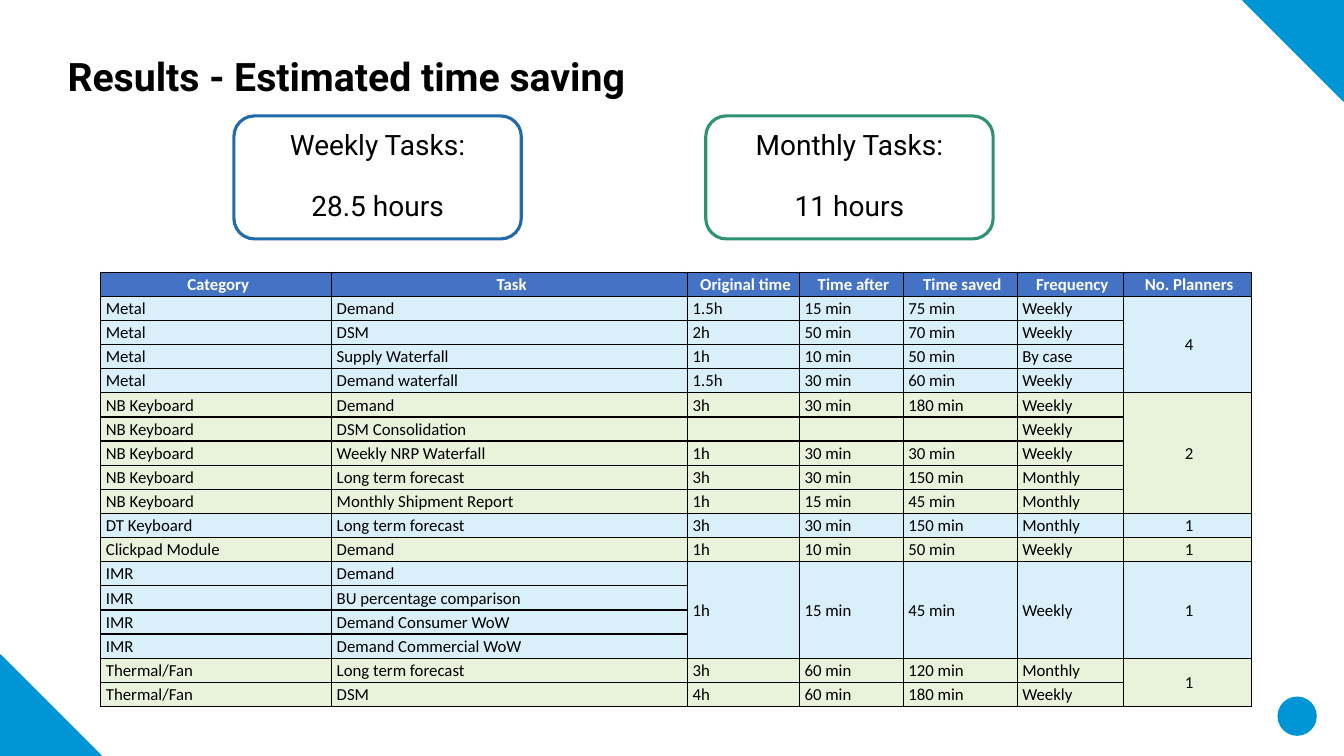
from lxml import etree
from pptx import Presentation
from pptx.dml.color import RGBColor
from pptx.enum.shapes import MSO_SHAPE
from pptx.enum.text import MSO_ANCHOR, PP_ALIGN
from pptx.oxml.ns import qn
from pptx.util import Inches, Pt

ROUND = MSO_SHAPE.ROUNDED_RECTANGLE
CORNER = MSO_SHAPE.RIGHT_TRIANGLE
OVAL = MSO_SHAPE.OVAL
MIDDLE, BOTTOM = MSO_ANCHOR.MIDDLE, MSO_ANCHOR.BOTTOM
LEFT, CENTER = PP_ALIGN.LEFT, PP_ALIGN.CENTER

BLACK = RGBColor(0, 0, 0)
WHITE = RGBColor(255, 255, 255)
BRIGHT = RGBColor(0x00, 0x96, 0xD6)
HEAD = RGBColor(0x44, 0x72, 0xC4)
SKY = RGBColor(0xD9, 0xEF, 0xF9)
LIME = RGBColor(0xE9, 0xF2, 0xDA)
BLUE = RGBColor(0x22, 0x6B, 0xAB)
GREEN = RGBColor(0x2E, 0x92, 0x73)

WIDE, HIGH = 13.33, 7.5
WIDTHS = [2.29, 3.53, 1.11, 1.03, 1.13, 1.05, 1.27]
LABELS = ["Category", "Task", "Original time", "Time after",
          "Time saved", "Frequency", "No. Planners"]
GROUPS = [
    ("Metal", "4", [
        ("Demand", "1.5h", "15 min", "75 min", "Weekly"),
        ("DSM", "2h", "50 min", "70 min", "Weekly"),
        ("Supply Waterfall", "1h", "10 min", "50 min", "By case"),
        ("Demand waterfall", "1.5h", "30 min", "60 min", "Weekly")]),
    ("NB Keyboard", "2", [
        ("Demand", "3h", "30 min", "180 min", "Weekly"),
        ("DSM Consolidation", "", "", "", "Weekly"),
        ("Weekly NRP Waterfall", "1h", "30 min", "30 min", "Weekly"),
        ("Long term forecast", "3h", "30 min", "150 min", "Monthly"),
        ("Monthly Shipment Report", "1h", "15 min", "45 min", "Monthly")]),
    ("DT Keyboard", "1", [
        ("Long term forecast", "3h", "30 min", "150 min", "Monthly")]),
    ("Clickpad Module", "1", [
        ("Demand", "1h", "10 min", "50 min", "Weekly")]),
    ("IMR", "1", [
        ("Demand", "1h", "15 min", "45 min", "Weekly"),
        ("BU percentage comparison",),
        ("Demand Consumer WoW",),
        ("Demand Commercial WoW",)]),
    ("Thermal/Fan", "1", [
        ("Long term forecast", "3h", "60 min", "120 min", "Monthly"),
        ("DSM", "4h", "60 min", "180 min", "Weekly")]),
]


def style(par, font, size, color=BLACK, bold=False):
    for run in par.runs:
        run.font.name = font
        run.font.size = Pt(size)
        run.font.color.rgb = color
        run.font.bold = bold


def add_form(slide, kind, box, fill, edge, weight):
    form = slide.shapes.add_shape(kind, *map(Inches, box))
    form.shadow.inherit = False
    form.fill.solid()
    form.fill.fore_color.rgb = fill
    form.line.color.rgb = edge
    form.line.width = Pt(weight)
    return form


def add_title(slide, box, text):
    frame = slide.shapes.add_textbox(*map(Inches, box)).text_frame
    frame.word_wrap = True
    frame.vertical_anchor = BOTTOM
    frame.margin_left = frame.margin_right = 0
    frame.margin_top = frame.margin_bottom = 0
    frame.text = text
    par = frame.paragraphs[0]
    par.line_spacing = 0.9
    style(par, "Roboto", 28, bold=True)


def add_total(slide, box, label, hours, edge):
    frame = add_form(slide, ROUND, box, WHITE, edge, 2.25).text_frame
    frame.word_wrap = True
    frame.vertical_anchor = MIDDLE
    frame.text = label
    frame.add_paragraph().text = hours
    for par in frame.paragraphs:
        par.alignment = CENTER
        par.line_spacing = 0.9
        style(par, "Roboto", 20)
    frame.paragraphs[1].space_before = Pt(22)


def add_edges(cell):
    props = cell._tc.get_or_add_tcPr()
    for side in ("a:lnL", "a:lnR", "a:lnT", "a:lnB"):
        line = etree.SubElement(props, qn(side), w=str(Pt(1)))
        paint = etree.SubElement(line, qn("a:solidFill"))
        etree.SubElement(paint, qn("a:srgbClr"), val=str(BLACK))


def fill_cell(cell, text, fill, align=LEFT, color=BLACK, bold=False):
    cell.margin_left = Inches(0.05)
    cell.margin_top = cell.margin_right = Inches(0.01)
    cell.margin_bottom = 0
    cell.vertical_anchor = MIDDLE
    add_edges(cell)
    cell.fill.solid()
    cell.fill.fore_color.rgb = fill
    cell.text_frame.text = text
    par = cell.text_frame.paragraphs[0]
    par.alignment = align
    style(par, "Calibri", 12, color, bold)
    etree.SubElement(par._p, qn("a:endParaRPr"), sz="1200")


def add_grid(slide, box):
    count = 1 + sum(len(tasks) for _, _, tasks in GROUPS)
    last = len(LABELS) - 1
    grid = slide.shapes.add_table(count, len(LABELS), *map(Inches, box)).table
    for col, width in zip(grid.columns, WIDTHS):
        col.width = Inches(width)
    for row in grid.rows:
        row.height = Inches(box[3] / count)
    for col, label in enumerate(LABELS):
        fill_cell(grid.cell(0, col), label, HEAD, CENTER, WHITE, True)
    top = 1
    for index, (name, planners, tasks) in enumerate(GROUPS):
        fill = LIME if index % 2 else SKY
        for step, task in enumerate(tasks):
            texts = [name, *task] + [""] * (last - 1 - len(task))
            texts.append("" if step else planners)
            for col, text in enumerate(texts):
                align = CENTER if col == last else LEFT
                fill_cell(grid.cell(top + step, col), text, fill, align)
        end = top + len(tasks) - 1
        if end > top:
            first = 2 if len(tasks[-1]) == 1 else last
            for col in range(first, last + 1):
                grid.cell(top, col).merge(grid.cell(end, col))
        top = end + 1


def add_decor(slide, box):
    left, top, width, height = box
    right, base = left + width, top + height
    upper = add_form(slide, CORNER, (right - 1, top, 1, 1), BRIGHT, BRIGHT, 1.5)
    upper.rotation = 180
    add_form(slide, CORNER, (left, base - 1, 1, 1), BRIGHT, BRIGHT, 1.5)
    badge = add_form(slide, OVAL, (right - 0.66, base - 0.59, 0.39, 0.39),
                     BRIGHT, BRIGHT, 1)
    badge.line.fill.background()


def main():
    deck = Presentation()
    deck.slide_width, deck.slide_height = Inches(WIDE), Inches(HIGH)
    slide = deck.slides.add_slide(deck.slide_layouts[6])
    add_title(slide, (0.67, 0.16, 12, 0.83), "Results - Estimated time saving")
    add_grid(slide, (1, 2.7, sum(WIDTHS), 4.31))
    add_total(slide, (2.32, 1.15, 2.85, 1.22), "Weekly Tasks:", "28.5 hours", BLUE)
    add_total(slide, (7, 1.15, 2.85, 1.22), "Monthly Tasks:", "11 hours", GREEN)
    add_decor(slide, (0, 0, WIDE, HIGH))
    deck.save("out.pptx")


if __name__ == "__main__":
    main()
